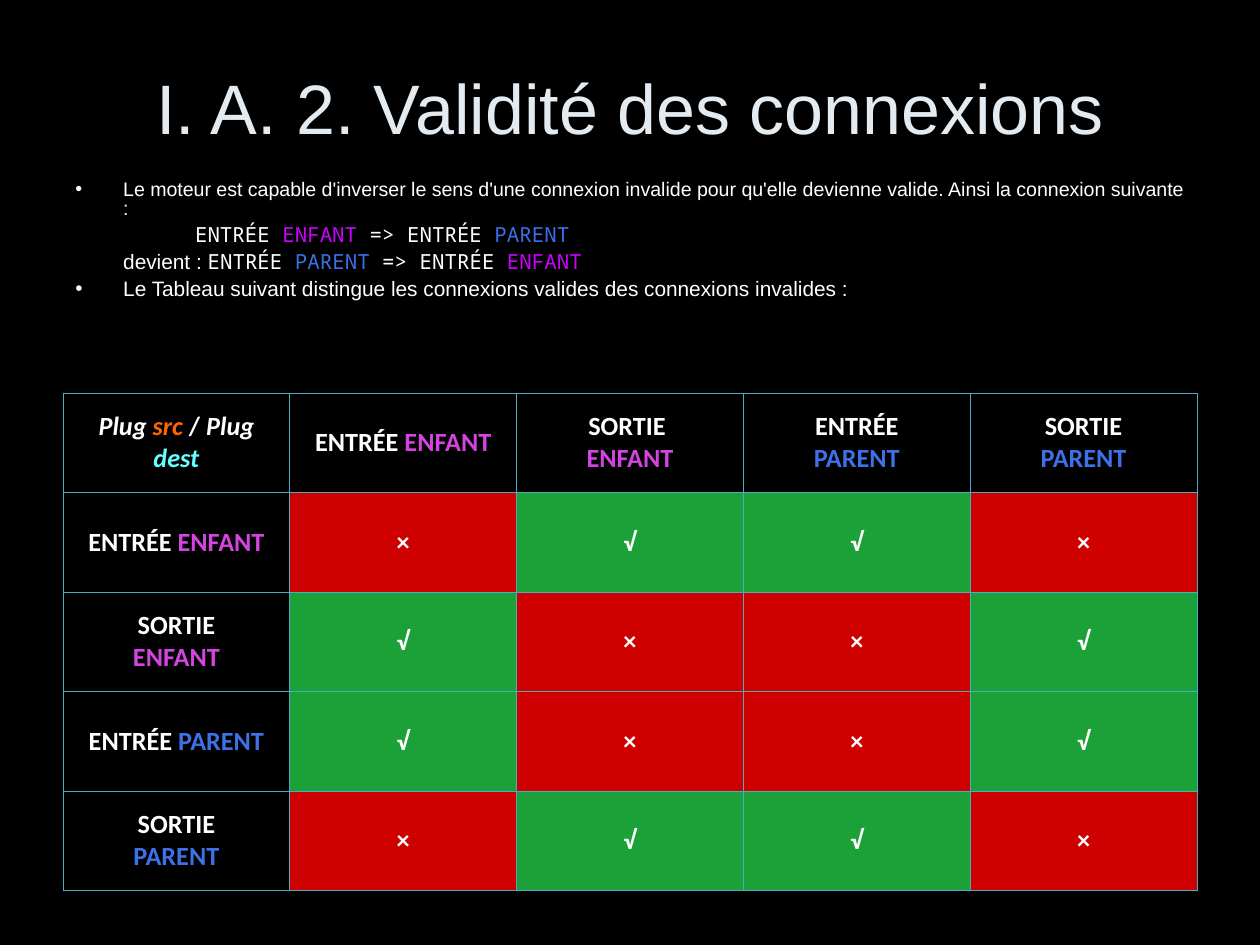
from lxml.etree import SubElement
from pptx import Presentation
from pptx.dml.color import RGBColor
from pptx.enum.text import MSO_ANCHOR, PP_ALIGN
from pptx.oxml.ns import qn
from pptx.util import Inches, Pt

HEX = {"back": "000000", "title": "E3EBF1", "white": "FFFFFF",
       "child": "D344E0", "parent": "3D71E7", "violet": "CC00FF",
       "blue": "3A6FE8", "src": "FF6600", "dest": "66FFFF",
       "yes": "1BA137", "no": "CE0000", "line": "4BACC6"}
SANS, MONO, CELL = "Arial", "Noto Sans Mono", "Calibri"

TITLE = "I. A. 2. Validité des connexions"
# Each paragraph: bulleted, left margin, size, runs of (text, colour, font)
BODY = [
    (True, 0.38, 11.2, [
        ("Le moteur est capable d'inverser le sens d'une connexion invalide "
         "pour qu'elle devienne valide. Ainsi la connexion suivante :",
         "white", SANS)]),
    (False, 0.95, 11.9, [
        ("ENTRÉE ", "white", MONO), ("ENFANT ", "violet", MONO),
        ("=> ENTRÉE ", "white", MONO), ("PARENT", "blue", MONO)]),
    (False, 0.38, 11.9, [
        ("devient : ", "white", SANS),
        ("ENTRÉE ", "white", MONO), ("PARENT ", "blue", MONO),
        ("=> ENTRÉE ", "white", MONO), ("ENFANT", "violet", MONO)]),
    (True, 0.38, 11.9, [
        ("Le Tableau suivant distingue les connexions valides des "
         "connexions invalides :", "white", SANS)]),
]
CORNER = [("Plug ", "white", True), ("src ", "src", True),
          ("/ ", "white", False), ("Plug ", "white", True),
          ("dest", "dest", True)]
# A line feed puts the second word on its own line
HEADS = [("ENTRÉE ", "ENFANT"), ("SORTIE \n", "ENFANT"),
         ("ENTRÉE\n", "PARENT"), ("SORTIE\n", "PARENT")]
SIDES = [("ENTRÉE ", "ENFANT"), ("SORTIE\n", "ENFANT"),
         ("ENTRÉE ", "PARENT"), ("SORTIE\n", "PARENT")]
MARKS = ["×√√×", "√××√", "√××√", "×√√×"]
KIND = {"ENFANT": "child", "PARENT": "parent"}
FILL = {"√": "yes", "×": "no"}

WIDE, HIGH = 10, 7.5
LEFT, SPAN = WIDE * 0.05, WIDE * 0.9


def rgb(key):
    return RGBColor.from_string(HEX[key])


def style(run, size, key, face):
    run.font.size, run.font.name = Pt(size), face
    run.font.color.rgb = rgb(key)


def place(shape, top, high):
    shape.left, shape.top = Inches(LEFT), Inches(top)
    shape.width, shape.height = Inches(SPAN), Inches(high)


def indent(para, left, dot):
    """Set the left margin, with a hanging white bullet if dot is true."""
    prop = para._p.get_or_add_pPr()
    prop.set("marL", str(Inches(left)))
    prop.set("indent", str(-Inches(left) if dot else 0))
    if dot:
        tint = SubElement(prop, qn("a:buClr"))
        SubElement(tint, qn("a:srgbClr"), val=HEX["white"])
        SubElement(prop, qn("a:buFont"), typeface=SANS)
        SubElement(prop, qn("a:buChar"), char="•")
    else:
        SubElement(prop, qn("a:buNone"))


def border(cell):
    prop = cell._tc.get_or_add_tcPr()
    for side in ("lnL", "lnR", "lnT", "lnB"):
        line = SubElement(prop, qn("a:" + side), w=str(Pt(0.45)))
        fill = SubElement(line, qn("a:solidFill"))
        SubElement(fill, qn("a:srgbClr"), val=HEX["line"])


def write(cell, parts, fill=None):
    """Fill a cell with runs of (text, colour, italic)."""
    border(cell)
    if fill:
        cell.fill.solid()
        cell.fill.fore_color.rgb = rgb(fill)
    else:
        cell.fill.background()
    cell.vertical_anchor = MSO_ANCHOR.MIDDLE
    para = cell.text_frame.paragraphs[0]
    para.alignment, para.space_before = PP_ALIGN.CENTER, Pt(3.7)
    for text, key, slant in parts:
        run = para.add_run()
        run.text = text.rstrip("\n")
        style(run, 15, key, CELL)
        run.font.bold, run.font.italic = True, slant
        if text.endswith("\n"):
            para.add_line_break()


def label(pair):
    plug, kin = pair
    return [(plug, "white", False), (kin, KIND[kin], False)]


def add_title(slide):
    shape = slide.shapes.title
    place(shape, 0.3, 1.09)
    frame = shape.text_frame
    frame.text = TITLE
    frame.vertical_anchor = MSO_ANCHOR.MIDDLE
    para = frame.paragraphs[0]
    para.alignment = PP_ALIGN.CENTER
    style(para.runs[0], 40, "title", SANS)


def add_body(slide):
    box = slide.shapes.add_textbox(0, 0, 0, 0)
    place(box, 1.39, 1.26)
    frame = box.text_frame
    frame.word_wrap = True
    for i, (dot, left, size, parts) in enumerate(BODY):
        para = frame.add_paragraph() if i else frame.paragraphs[0]
        para.line_spacing, para.space_before = 0.8, Pt(4.2 if i else 4)
        indent(para, left, dot)
        for text, key, face in parts:
            run = para.add_run()
            run.text = text
            style(run, size, key, face)


def add_grid(slide):
    rows, cols = len(SIDES) + 1, len(HEADS) + 1
    shape = slide.shapes.add_table(
        rows, cols, Inches(LEFT), Inches(3.12), Inches(SPAN),
        Inches(0.79 * rows))
    table = shape.table
    table.first_row = table.horz_banding = False
    write(table.cell(0, 0), CORNER)
    for col, head in enumerate(HEADS, 1):
        write(table.cell(0, col), label(head))
    for row, (side, marks) in enumerate(zip(SIDES, MARKS), 1):
        write(table.cell(row, 0), label(side))
        for col, mark in enumerate(marks, 1):
            write(table.cell(row, col), [(mark, "white", False)], FILL[mark])


def main():
    deck = Presentation()
    deck.slide_width, deck.slide_height = Inches(WIDE), Inches(HIGH)
    slide = deck.slides.add_slide(deck.slide_layouts[5])
    back = slide.background.fill
    back.solid()
    back.fore_color.rgb = rgb("back")
    add_title(slide)
    add_grid(slide)
    add_body(slide)
    deck.save("out.pptx")


if __name__ == "__main__":
    main()
